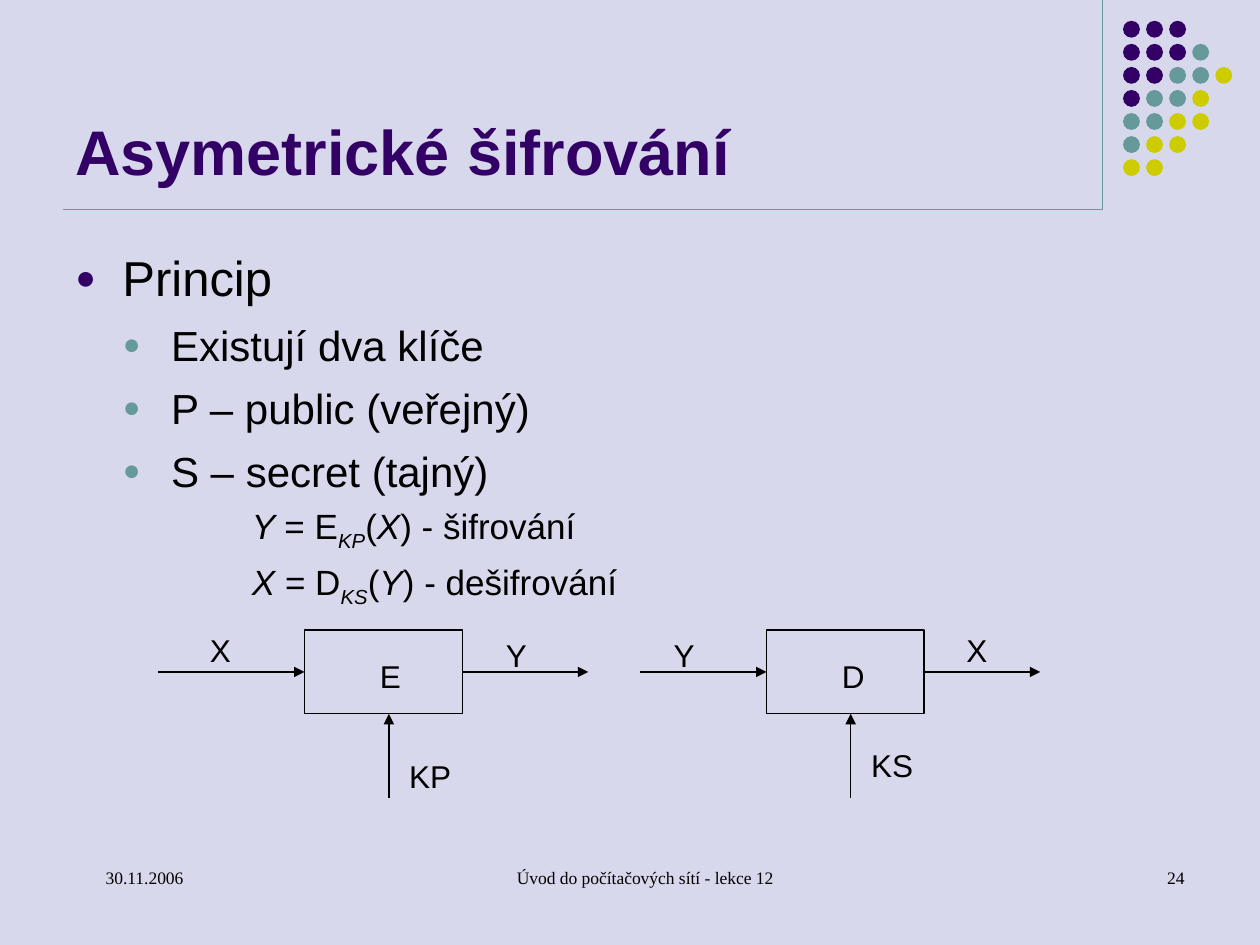
from dataclasses import dataclass

from lxml.etree import SubElement
from pptx import Presentation
from pptx.dml.color import RGBColor
from pptx.enum.shapes import MSO_CONNECTOR, MSO_SHAPE
from pptx.enum.text import MSO_ANCHOR, PP_ALIGN
from pptx.oxml.ns import qn
from pptx.util import Cm, Pt


@dataclass(frozen=True)
class Theme:
    background: str = "D8D8EC"
    purple: str = "330066"
    teal: str = "669999"
    lime: str = "CCCC00"
    ink: str = "000000"
    font: str = "Arial"
    footer_font: str = "Times New Roman"
    title: int = 36
    body: tuple = (28, 24, 20)
    label: int = 18
    footer: int = 10
    line: float = 0.75


T = Theme()

# Body paragraphs: style name, then runs as (text, italic, subscript)
BODY = [
    ("topic", [("Princip", False, False)]),
    ("point", [("Existují dva klíče", False, False)]),
    ("point", [("P – public (veřejný)", False, False)]),
    ("point", [("S – secret (tajný)", False, False)]),
    ("formula", [("Y ", True, False), ("= E", False, False), ("KP", True, True),
                 ("(", False, False), ("X", True, False), (") - šifrování", False, False)]),
    ("formula", [("X ", True, False), ("= D", False, False), ("KS", True, True),
                 ("(", False, False), ("Y", True, False), (") - dešifrování", False, False)]),
]

# Style: level, left margin and first indent (cm), space before (pt), size, bullet colour
STYLES = {
    "topic": (0, 0.95, -0.95, 0, T.body[0], T.purple),
    "point": (1, 1.93, -0.97, 7.2, T.body[1], T.teal),
    "formula": (4, 4.45, -0.89, 5, T.body[2], None),
}


def rgb(value):
    return RGBColor.from_string(value)


def add_run(p, text, size, color=T.ink, font=T.font):
    r = p.add_run()
    r.text = text
    r.font.size = Pt(size)
    r.font.name = font
    r.font.color.rgb = rgb(color)
    return r


def add_text_frame(s, x, y, w, h, wrap=True):
    tf = s.shapes.add_textbox(Cm(x), Cm(y), Cm(w), Cm(h)).text_frame
    tf.word_wrap = wrap
    return tf


def set_indent(p, margin, first=0):
    pPr = p._p.get_or_add_pPr()
    pPr.set("marL", str(Cm(margin)))
    pPr.set("indent", str(Cm(first)))
    return pPr


def add_bullet(pPr, color):
    clr = SubElement(pPr, qn("a:buClr"))
    SubElement(clr, qn("a:srgbClr"), val=color)
    SubElement(pPr, qn("a:buSzPct"), val="70000")
    SubElement(pPr, qn("a:buFont"), typeface=T.font)
    SubElement(pPr, qn("a:buChar"), char="●")


def add_line(s, x1, y1, x2, y2, color=T.ink, arrow=False):
    line = s.shapes.add_connector(MSO_CONNECTOR.STRAIGHT, Cm(x1), Cm(y1), Cm(x2), Cm(y2))
    line.line.color.rgb = rgb(color)
    line.line.width = Pt(T.line)
    spPr = line.element.spPr
    if arrow:
        SubElement(spPr.find(qn("a:ln")), qn("a:tailEnd"), type="triangle")
    SubElement(spPr, qn("a:effectLst"))
    return line


def add_dots(s, x, y, pitch=0.465, size=0.34):
    colors = {"P": T.purple, "T": T.teal, "L": T.lime}
    rows = ("PPP", "PPPT", "PPTTL", "PTTL", "TTLL", "TLL", "LL")
    for i, row in enumerate(rows):
        for j, key in enumerate(row):
            dot = s.shapes.add_shape(MSO_SHAPE.OVAL, Cm(x + j * pitch), Cm(y + i * pitch),
                                     Cm(size), Cm(size))
            dot.shadow.inherit = False
            dot.fill.solid()
            dot.fill.fore_color.rgb = rgb(colors[key])
            dot.line.fill.background()


def add_header(s, x, y, w, h):
    """Title above a rule, closed by a vertical rule and the dot pattern."""
    right, bottom = x + w, y + h
    add_line(s, right, y, right, bottom, T.teal)
    add_line(s, x, bottom, right, bottom, T.teal)
    add_dots(s, right + 0.42, y + 0.42)
    tf = add_text_frame(s, x, y + 0.33, w, h - 0.64)
    tf.vertical_anchor = MSO_ANCHOR.BOTTOM
    add_run(tf.paragraphs[0], "Asymetrické šifrování", T.title, T.purple).font.bold = True


def add_body(s, x, y, w, h):
    tf = add_text_frame(s, x, y, w, h)
    for i, (style, runs) in enumerate(BODY):
        level, margin, first, before, size, bullet = STYLES[style]
        p = tf.add_paragraph() if i else tf.paragraphs[0]
        p.level = level
        p.space_before = Pt(before)
        pPr = set_indent(p, margin, first)
        if bullet:
            add_bullet(pPr, bullet)
        for text, italic, subscript in runs:
            r = add_run(p, text, size)
            r.font.italic = italic
            if subscript:
                r._r.get_or_add_rPr().set("baseline", "-25000")


def add_cipher(s, x, y, w, h, lead_in, lead_out, labels):
    """Cipher box with input, output and key arrows; labels are (text, dx, dy)."""
    box = s.shapes.add_shape(MSO_SHAPE.RECTANGLE, Cm(x), Cm(y), Cm(w), Cm(h))
    box.shadow.inherit = False
    box.fill.background()
    box.line.color.rgb = rgb(T.ink)
    box.line.width = Pt(T.line)

    middle, key_x = y + h / 2, x + 1.7
    add_line(s, x - lead_in, middle, x, middle, arrow=True).end_connect(box, 1)
    add_line(s, x + w, middle, x + w + lead_out, middle, arrow=True).begin_connect(box, 3)
    add_line(s, key_x, y + 2 * h, key_x, y + h, arrow=True)

    for text, dx, dy in labels:
        width = 0.92 if len(text) == 1 else 1.35
        tf = add_text_frame(s, x + dx, y + dy, width, 1.02, wrap=False)
        add_run(tf.paragraphs[0], text, T.label)


def add_footer(s, x, y, w, h):
    side, center = 5.93, 8.05
    parts = (
        ("30.11.2006", x, side, PP_ALIGN.LEFT),
        ("Úvod do počítačových sítí - lekce 12", x + (w - center) / 2, center, PP_ALIGN.CENTER),
        ("24", x + w - side, side, PP_ALIGN.RIGHT),
    )
    for text, left, width, align in parts:
        p = add_text_frame(s, left, y, width, h).paragraphs[0]
        p.alignment = align
        set_indent(p, 0.61)
        add_run(p, text, T.footer, font=T.footer_font)


def main():
    prs = Presentation()
    prs.slide_width, prs.slide_height = Cm(25.4), Cm(19.05)
    s = prs.slides.add_slide(prs.slide_layouts[6])
    s.background.fill.solid()
    s.background.fill.fore_color.rgb = rgb(T.background)

    add_header(s, 1.27, 0, 20.95, 4.23)
    add_body(s, 1.27, 4.87, 22.86, 12.15)
    add_cipher(s, 6.14, 12.7, 3.18, 1.69, 2.96, 2.54,
               [("E", 1.27, 0.43), ("KP", 1.86, 2.44), ("X", -2.16, -0.1), ("Y", 3.81, 0)])
    add_cipher(s, 15.45, 12.7, 3.18, 1.69, 2.54, 2.34,
               [("D", 1.27, 0.43), ("KS", 1.86, 2.21), ("Y", -2.12, 0), ("X", 3.78, -0.1)])
    add_footer(s, 1.27, 17.36, 22.86, 1.27)
    prs.save("out.pptx")


if __name__ == "__main__":
    main()
